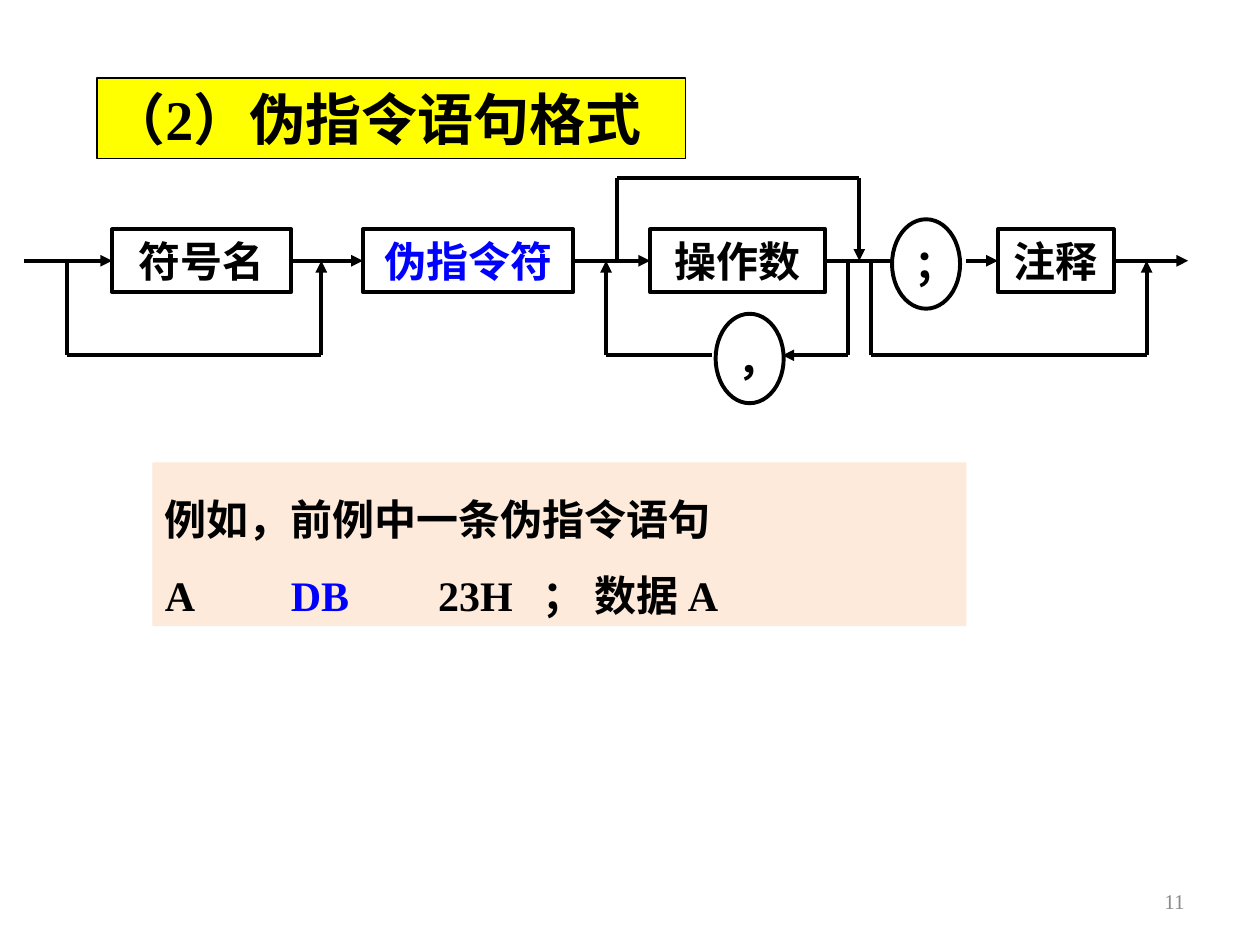
from itertools import pairwise

from lxml import etree
from pptx import Presentation
from pptx.dml.color import RGBColor
from pptx.enum.shapes import MSO_CONNECTOR, MSO_SHAPE
from pptx.enum.text import MSO_ANCHOR, PP_ALIGN
from pptx.oxml.ns import qn
from pptx.util import Inches, Pt

RECT, OVAL = MSO_SHAPE.RECTANGLE, MSO_SHAPE.OVAL
STRAIGHT = MSO_CONNECTOR.STRAIGHT
TOP, MIDDLE = MSO_ANCHOR.TOP, MSO_ANCHOR.MIDDLE
LEFT, CENTER, RIGHT = PP_ALIGN.LEFT, PP_ALIGN.CENTER, PP_ALIGN.RIGHT

BLACK = RGBColor(0, 0, 0)
BLUE = RGBColor(0, 0, 255)
YELLOW = RGBColor(255, 255, 0)
PEACH = RGBColor(0xFD, 0xEA, 0xDA)
GRAY = RGBColor(0x89, 0x89, 0x89)

FONT = "Times New Roman"
MAIN, HIGH, LOW = 2.07, 1.41, 2.82  # heights of the tracks


def style(run, size, color=BLACK, bold=True):
    font = run.font
    font.name, font.size, font.bold = FONT, Pt(size), bold
    font.color.rgb = color


def write(shape, text, size, color=BLACK, align=LEFT, anchor=TOP, bold=True):
    frame = shape.text_frame
    frame.word_wrap = True
    frame.vertical_anchor = anchor
    frame.text = text
    for par in frame.paragraphs:
        par.alignment = align
        for run in par.runs:
            style(run, size, color, bold)


def add_box(slide, kind, at, fill=None, width=None):
    box = slide.shapes.add_shape(kind, *map(Inches, at))
    box.shadow.inherit = False
    if fill is None:
        box.fill.background()
    else:
        box.fill.solid()
        box.fill.fore_color.rgb = fill
    if width is None:
        box.line.fill.background()
    else:
        box.line.color.rgb = BLACK
        box.line.width = Pt(width)
    return box


def add_node(slide, kind, at, text, color=BLACK):
    node = add_box(slide, kind, at, width=2.25)
    write(node, text, 24, color, CENTER)
    return node


def add_line(slide, start, end, arrow=False):
    line = slide.shapes.add_connector(STRAIGHT, *map(Inches, start + end))
    line.line.color.rgb = BLACK
    line.line.width = Pt(2.25)
    if arrow:
        etree.SubElement(line.line._get_or_add_ln(), qn("a:tailEnd"), type="triangle")
    etree.SubElement(line._element.spPr, qn("a:effectLst"))
    return line


def add_route(slide, points, arrow=True):
    """Draw a bent track, with the arrow on its last leg."""
    legs = list(pairwise(points))
    for step, (start, end) in enumerate(legs, 1):
        add_line(slide, start, end, arrow and step == len(legs))


def add_link(slide, left, right, source=None, target=None, arrow=True):
    line = add_line(slide, (left, MAIN), (right, MAIN), arrow)
    if source:
        line.begin_connect(source, 3)
    if target:
        line.end_connect(target, 1)


def add_syntax(slide):
    # Boxes and separators
    parts = [("符号名", 0.89, 1.42, BLACK), ("伪指令符", 2.88, 1.67, BLUE),
             ("操作数", 5.16, 1.39, BLACK), ("注释", 7.92, 0.92, BLACK)]
    label, order, operand, note = [
        add_node(slide, RECT, (x, 1.82, w, 0.5), text, color)
        for text, x, w, color in parts]
    for text, x, y in [("；", 7.08, 1.74), ("，", 5.68, 2.49)]:
        add_node(slide, OVAL, (x, y, 0.54, 0.71), text)

    # Main track
    add_link(slide, 0.19, 0.89, target=label)
    add_link(slide, 2.31, 2.88, label, order)
    add_link(slide, 4.55, 5.16, order, operand)
    add_link(slide, 6.55, 7.08, operand, arrow=False)
    add_link(slide, 7.67, 7.92, target=note)
    add_link(slide, 8.84, 9.43, note)

    # Bypasses around optional parts
    for x, y, end in [(0.53, LOW, 2.55), (4.9, HIGH, 6.82), (6.91, LOW, 9.1)]:
        add_route(slide, [(x, MAIN), (x, y), (end, y), (end, MAIN)])

    # Loop back through the comma
    add_route(slide, [(6.73, MAIN), (6.73, LOW), (6.21, LOW)])
    add_route(slide, [(5.65, LOW), (4.81, LOW), (4.81, MAIN)])


def add_sample(slide):
    box = add_box(slide, RECT, (1.21, 3.67, 6.46, 1.3), PEACH)
    write(box, "例如，前例中一条伪指令语句\n", 24)
    first, code = box.text_frame.paragraphs
    first.line_spacing = code.line_spacing = 1.5
    code.alignment = LEFT
    tabs = etree.SubElement(code._p.get_or_add_pPr(), qn("a:tabLst"))
    for stop in (1, 2.17, 3):
        etree.SubElement(tabs, qn("a:tab"), pos=str(Inches(stop)), algn="l")
    for text, color in [("A\t", BLACK), ("DB\t", BLUE), ("23H\t； 数据 A", BLACK)]:
        run = code.add_run()
        run.text = text
        style(run, 24, color)


def main():
    deck = Presentation()
    deck.slide_width, deck.slide_height = Inches(10), Inches(7.5)
    slide = deck.slides.add_slide(deck.slide_layouts[6])

    # Title
    title = add_box(slide, RECT, (0.77, 0.62, 4.67, 0.64), YELLOW, 0.75)
    write(title, "（2）伪指令语句格式", 32)

    add_syntax(slide)
    add_sample(slide)

    # Page number
    page = slide.shapes.add_textbox(*map(Inches, (7.17, 6.95, 2.33, 0.4)))
    write(page, "11", 12, GRAY, RIGHT, MIDDLE, False)

    deck.save("out.pptx")


if __name__ == "__main__":
    main()
